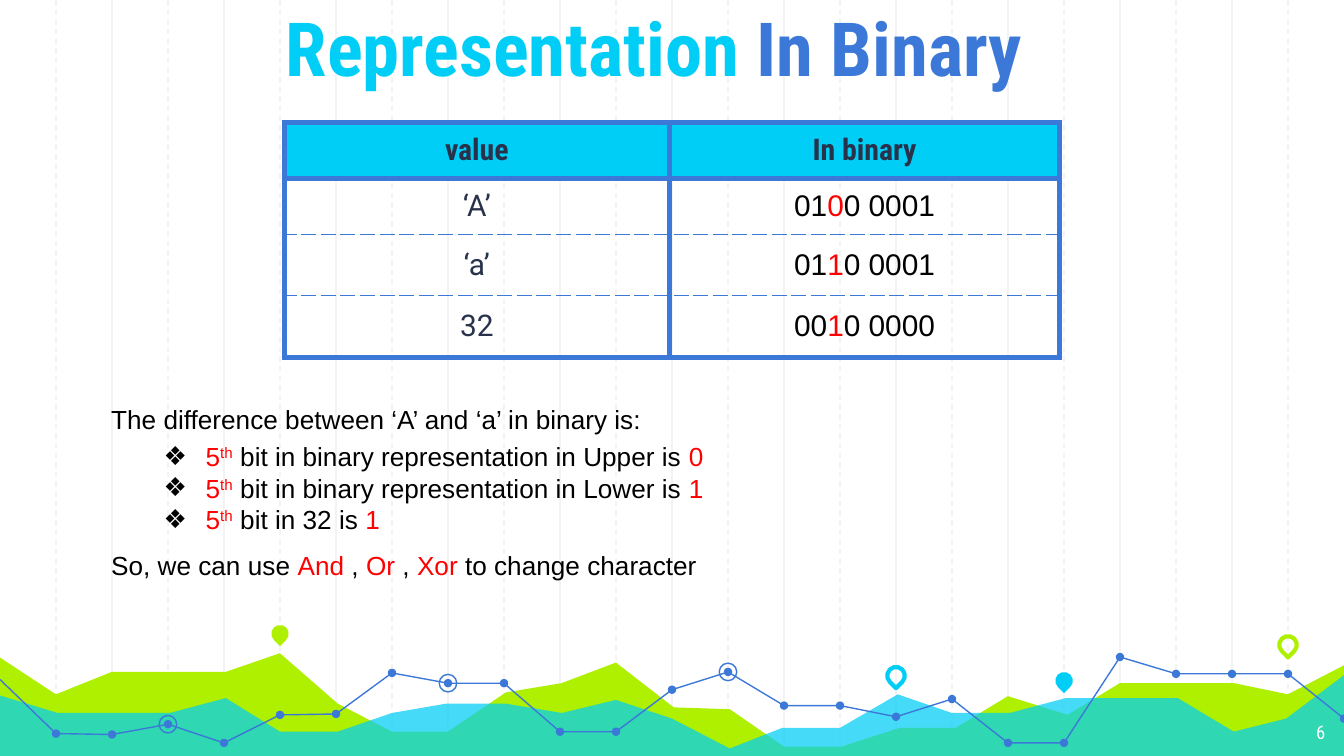
from dataclasses import dataclass

from lxml import etree
from pptx import Presentation
from pptx.dml.color import RGBColor
from pptx.enum import dml, shapes, text
from pptx.oxml import ns
from pptx.util import Pt


@dataclass(frozen=True)
class Theme:
    cyan: str = "00CEF6"
    blue: str = "3C78D8"
    lime: str = "AFF000"
    navy: str = "28324A"
    red: str = "FF0000"
    black: str = "000000"
    white: str = "FFFFFF"
    grid: str = "F3F3F3"
    heading_font: str = "Roboto Condensed"
    value_font: str = "Roboto"
    body_font: str = "Arial"
    title_size: int = 40
    table_size: int = 16
    body_size: int = 14
    number_size: int = 10


THEME = Theme()
WIDTH, HEIGHT, STEP = 720, 405, 30
LIME_HILLS = [
    (-2, 351), (30, 372), (60, 360), (121, 360), (150, 350), (181, 377),
    (210, 392), (240, 392), (271, 371), (301, 366), (330, 355), (361, 379),
    (391, 380), (420, 400), (451, 400), (482, 390), (512, 390), (540, 373),
    (572, 383), (600, 366), (661, 366), (690, 372), (721, 356), (721, 406),
    (-2, 406),
]
CYAN_HILLS = [
    (-2, 372), (31, 382), (91, 382), (121, 374), (150, 392), (181, 392),
    (210, 382), (239, 377), (271, 377), (301, 382), (330, 375), (360, 385),
    (391, 401), (419, 390), (450, 390), (481, 372), (510, 382), (541, 382),
    (571, 374), (631, 374), (661, 392), (689, 385), (721, 361), (721, 407),
    (-2, 407),
]
TREND = [364, 393, 393.5, 388, 398, 383, 382.5, 360.5, 366, 366, 392, 392,
         369.5, 360, 378, 378, 384, 374.5, 398, 398, 352, 361, 361, 361, 385]


def sub(parent, tag, **attributes):
    return etree.SubElement(parent, ns.qn(tag), attributes)


def paint(shape, fill=None, line=None, width=0.75):
    shape.shadow.inherit = False
    if fill:
        shape.fill.solid()
        shape.fill.fore_color.rgb = RGBColor.from_string(fill)
    else:
        shape.fill.background()
    if line:
        shape.line.color.rgb = RGBColor.from_string(line)
        shape.line.width = Pt(width)
    else:
        shape.line.fill.background()


def add_grid_line(slide, x, dashed):
    line = slide.shapes.add_connector(
        shapes.MSO_CONNECTOR.STRAIGHT, Pt(x), 0, Pt(x), Pt(407))
    line.line.color.rgb = RGBColor.from_string(THEME.grid)
    line.line.width = Pt(0.75)
    if dashed:
        line.line.dash_style = dml.MSO_LINE.DASH
    sub(line._element.spPr, "a:effectLst")


def add_outline(slide, points, close, **style):
    corners = [(Pt(x), Pt(y)) for x, y in points]
    builder = slide.shapes.build_freeform(*corners[0])
    builder.add_line_segments(corners[1:], close=close)
    outline = builder.convert_to_shape()
    paint(outline, **style)
    return outline


def add_mark(slide, preset, x, y, size, **style):
    mark = slide.shapes.add_shape(
        preset, Pt(x - size / 2), Pt(y - size / 2), Pt(size), Pt(size))
    paint(mark, **style)
    return mark


def add_pin(slide, x, y, **style):
    pin = add_mark(slide, shapes.MSO_SHAPE.TEAR, x, y, 9.4, **style)
    pin.rotation = 135


def write(paragraph, runs, font, size, bold=False):
    paragraph.font.name = font
    paragraph.font.size = Pt(size)
    paragraph.font.bold = bold
    for words, color, *raised in runs:
        run = paragraph.add_run()
        run.text = words
        run.font.color.rgb = RGBColor.from_string(color)
        if raised:
            run._r.get_or_add_rPr().set("baseline", "30000")


def add_text(slide, box, lines, font, size, bold=False, inset=(7.2, 3.6, 7.2, 3.6),
             align=text.PP_ALIGN.LEFT, anchor=text.MSO_ANCHOR.TOP, bullet=None):
    frame = slide.shapes.add_textbox(*map(Pt, box)).text_frame
    frame.word_wrap = True
    frame.vertical_anchor = anchor
    (frame.margin_left, frame.margin_top,
     frame.margin_right, frame.margin_bottom) = map(Pt, inset)
    for index, runs in enumerate(lines):
        paragraph = frame.paragraphs[0] if index == 0 else frame.add_paragraph()
        paragraph.alignment = align
        if bullet:
            add_bullet(paragraph, bullet)
        write(paragraph, runs, font, size, bold)


def add_bullet(paragraph, symbol):
    properties = paragraph._p.get_or_add_pPr()
    properties.set("marL", str(Pt(22.5)))
    properties.set("indent", str(-Pt(22.5)))
    sub(sub(properties, "a:buClr"), "a:srgbClr", val=THEME.black)
    sub(properties, "a:buFont", typeface=THEME.body_font)
    sub(properties, "a:buChar", char=symbol)


def set_border(cell, side, width, dash):
    border = sub(cell._tc.get_or_add_tcPr(), f"a:{side}", w=str(Pt(width)))
    sub(sub(border, "a:solidFill"), "a:srgbClr", val=THEME.blue)
    sub(border, "a:prstDash", val=dash)


def fill_cell(cell, runs, font, bold, dashed_sides, fill):
    cell.vertical_anchor = text.MSO_ANCHOR.MIDDLE
    cell.margin_left = cell.margin_right = Pt(7.2)
    cell.margin_top = cell.margin_bottom = Pt(5)
    for side in ("lnL", "lnR", "lnT", "lnB"):
        dashed = side in dashed_sides
        set_border(cell, side, 0.75 if dashed else 3, "dash" if dashed else "solid")
    if fill:
        cell.fill.solid()
        cell.fill.fore_color.rgb = RGBColor.from_string(fill)
    else:
        cell.fill.background()
    paragraph = cell.text_frame.paragraphs[0]
    paragraph.alignment = text.PP_ALIGN.CENTER
    write(paragraph, runs, font, THEME.table_size, bold)


def add_binary_table(slide):
    heights, widths = (30, 30, 33, 33), (206.5, 209)
    table = slide.shapes.add_table(
        4, 2, Pt(152.2), Pt(65.5), Pt(sum(widths)), Pt(sum(heights))).table
    table.first_row = table.horz_banding = False
    for row, height in zip(table.rows, heights):
        row.height = Pt(height)
    for column, width in zip(table.columns, widths):
        column.width = Pt(width)
    for column, heading in enumerate(("value", "In binary")):
        fill_cell(table.cell(0, column), [(heading, THEME.navy)],
                  THEME.heading_font, True, (), THEME.cyan)
    values = [("‘A’", "0100 0001"), ("‘a’", "0110 0001"), ("32", "0010 0000")]
    dashes = [("lnB",), ("lnT", "lnB"), ("lnT",)]
    for row, ((value, bits), dashed) in enumerate(zip(values, dashes), 1):
        fill_cell(table.cell(row, 0), [(value, THEME.navy)],
                  THEME.value_font, False, dashed, None)
        digits = [(bits[:2], THEME.black), (bits[2], THEME.red), (bits[3:], THEME.black)]
        fill_cell(table.cell(row, 1), digits, THEME.body_font, False, dashed, None)


def add_scenery(slide):
    for start in (2, 1):
        for step in range(start, 24, 2):
            add_grid_line(slide, step * STEP, dashed=start == 1)
    add_outline(slide, LIME_HILLS, True, fill=THEME.lime)
    haze = add_outline(slide, CYAN_HILLS, True, fill=THEME.cyan)
    haze_color = haze._element.spPr.find(".//" + ns.qn("a:srgbClr"))
    sub(haze_color, "a:alpha", val="73000")
    add_pin(slide, 150, 339.5, fill=THEME.lime)
    add_pin(slide, 480, 362, line=THEME.cyan, width=2.25)
    add_pin(slide, 570, 364.7, fill=THEME.cyan)
    stops = [(step * STEP, y) for step, y in enumerate(TREND)]
    for first, last in ((0, 11), (11, 20), (20, 24)):
        add_outline(slide, stops[first:last + 1], False, line=THEME.blue)
    for x, y in stops[1:]:
        add_mark(slide, shapes.MSO_SHAPE.OVAL, x, y, 4.5, fill=THEME.blue)
    for step in (8, 3, 13):
        add_mark(slide, shapes.MSO_SHAPE.OVAL, *stops[step], 9.4, line=THEME.blue)
    add_pin(slide, 690, 345.5, line=THEME.lime, width=2.25)


def add_explanation(slide):
    body = (THEME.body_font, THEME.body_size)
    add_text(slide, (52.5, 212.4, 594.7, 58.3),
             [[("The difference between ‘A’ and ‘a’ in binary is:", THEME.black)]], *body)
    facts = [("bit in binary representation in Upper is", "0"),
             ("bit in binary representation in Lower is", "1"),
             ("bit in 32 is", "1")]
    add_text(slide, (80.6, 232.5, 539.3, 58.3),
             [[("5", THEME.red), ("th", THEME.red, True),
               (f" {fact} ", THEME.black), (bit, THEME.red)] for fact, bit in facts],
             *body, bullet="❖")
    add_text(slide, (52.5, 291, 524, 24.5),
             [[("So, we can use ", THEME.black), ("And", THEME.red), (" , ", THEME.black),
               ("Or", THEME.red), (" , ", THEME.black), ("Xor", THEME.red),
               (" to change character", THEME.black)]], *body)


def main():
    deck = Presentation()
    deck.slide_width, deck.slide_height = Pt(WIDTH), Pt(HEIGHT)
    slide = deck.slides.add_slide(deck.slide_layouts[6])
    add_scenery(slide)
    add_text(slide, (674, 380, 43, 25), [[("6", THEME.white)]],
             THEME.heading_font, THEME.number_size, inset=(7.2,) * 4,
             align=text.PP_ALIGN.RIGHT)
    add_text(slide, (0, 0, WIDTH, 56),
             [[("Representation ", THEME.cyan), ("In Binary", THEME.blue)]],
             THEME.heading_font, THEME.title_size, bold=True,
             inset=(7.2, 7.2, 26.5, 7.2), align=text.PP_ALIGN.CENTER,
             anchor=text.MSO_ANCHOR.BOTTOM)
    add_binary_table(slide)
    add_explanation(slide)
    deck.save("out.pptx")


if __name__ == "__main__":
    main()
